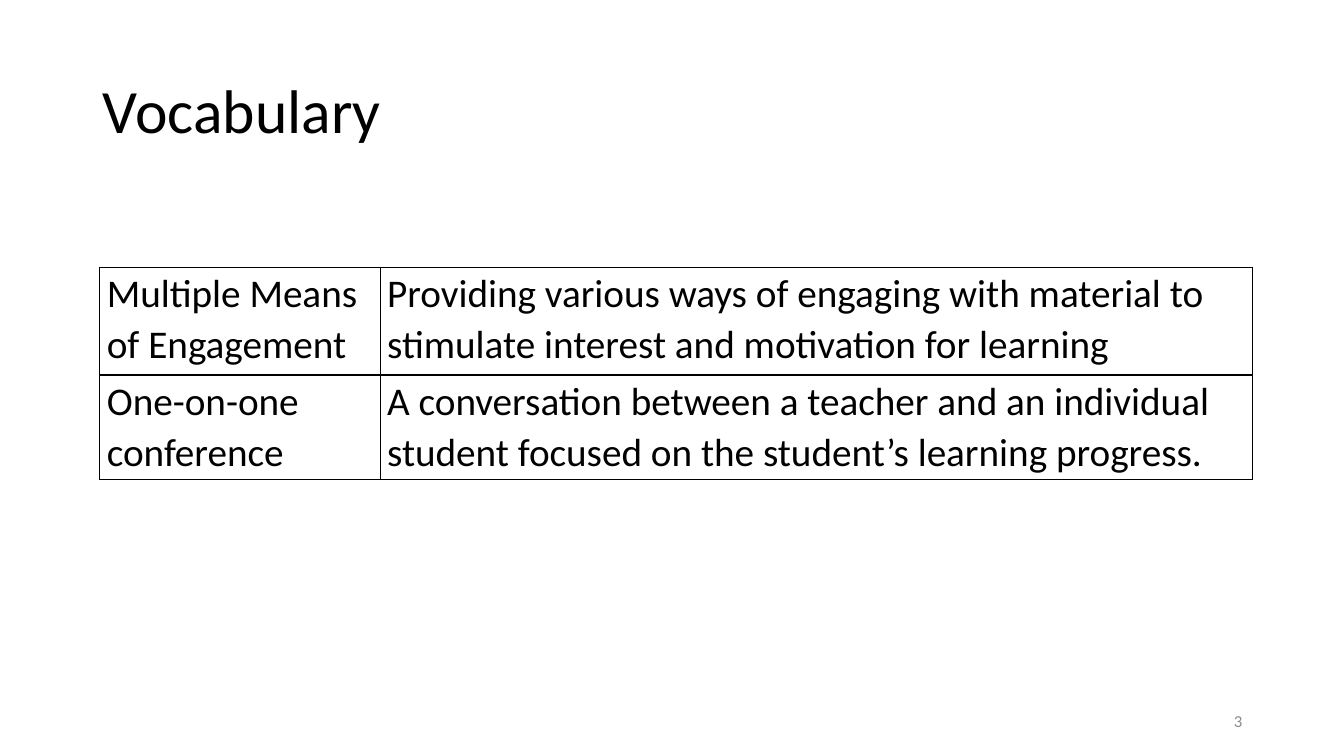
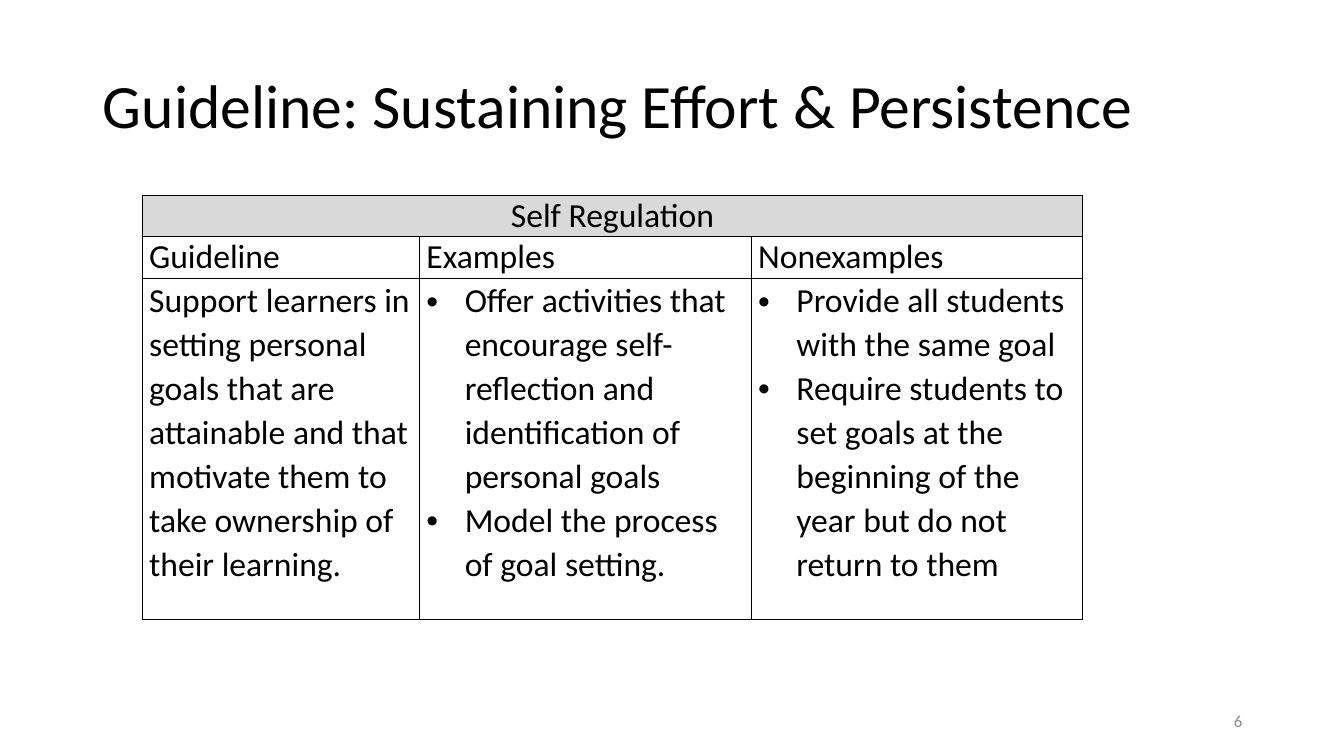
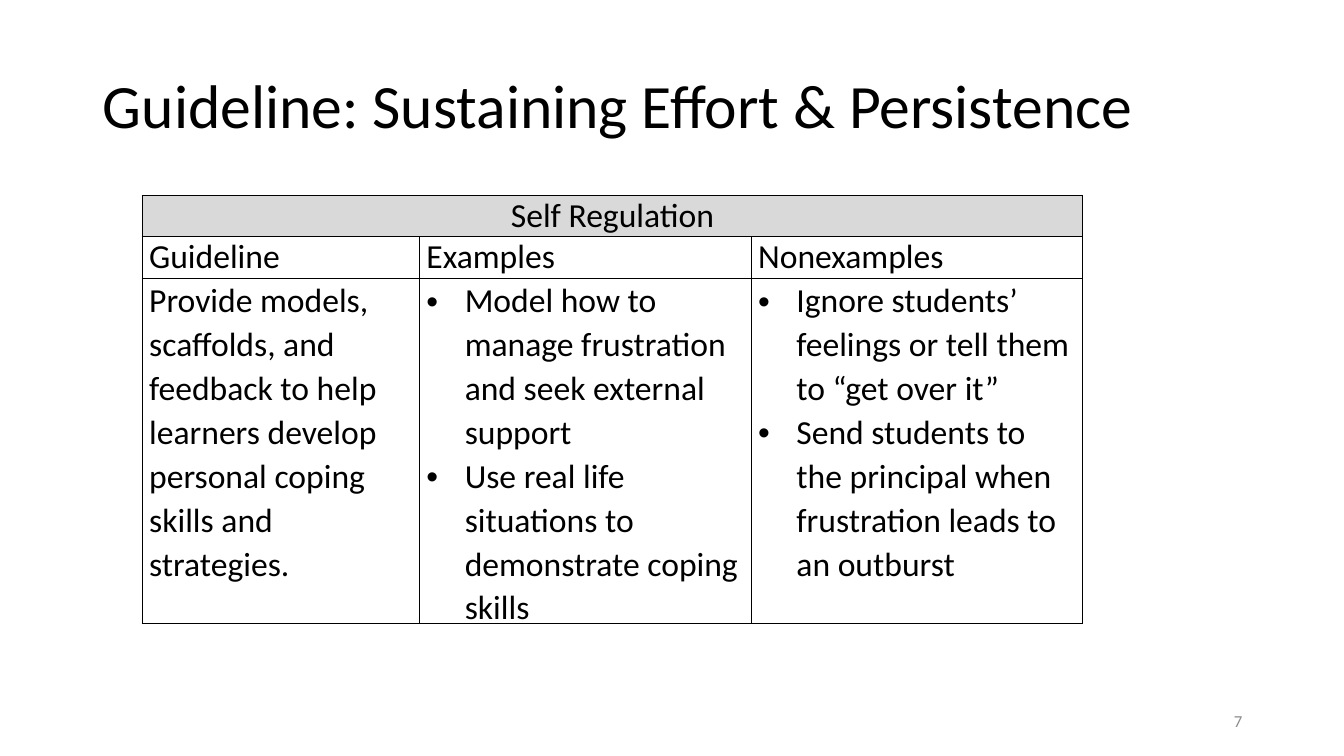
from lxml.etree import SubElement
from pptx import Presentation
from pptx.dml.color import RGBColor
from pptx.enum.text import MSO_ANCHOR, MSO_AUTO_SIZE, PP_ALIGN
from pptx.oxml.ns import qn
from pptx.util import Pt

PX = 9144  # EMU per px, 100 px to the inch
FONT = "Calibri"
COLORS = {"text": "000000", "border": "000000", "band": "D9D9D9", "number": "8C8C8C"}

VOCABULARY = [
    ("Multiple Means of Engagement",
     "Providing various ways of engaging with material to stimulate interest "
     "and motivation for learning"),
    ("One-on-one conference",
     "A conversation between a teacher and an individual student focused on "
     "the student’s learning progress."),
]

GUIDELINE_TITLE = "Guideline: Sustaining Effort & Persistence"
GUIDELINE_BAND = "Self Regulation"
GUIDELINE_HEADINGS = ("Guideline", "Examples", "Nonexamples")
# A list in a cell becomes bullets
GUIDELINES = [
    (6, (
        "Support learners in setting personal goals that are attainable and that "
        "motivate them to take ownership of their learning.",
        ["Offer activities that encourage self-reflection and identification of personal goals",
         "Model the process of goal setting."],
        ["Provide all students with the same goal",
         "Require students to set goals at the beginning of the year but do not return to them"],
    )),
    (7, (
        "Provide models, scaffolds, and feedback to help learners develop personal "
        "coping skills and strategies.",
        ["Model how to manage frustration and seek external support",
         "Use real life situations to demonstrate coping skills"],
        ["Ignore students’ feelings or tell them to “get over it”",
         "Send students to the principal when frustration leads to an outburst"],
    )),
]


def px(*lengths):
    return [length * PX for length in lengths]


def style(paragraph, size, color="text", align=PP_ALIGN.LEFT, spacing=None):
    paragraph.alignment = align
    if spacing:
        paragraph.line_spacing = spacing
    font = paragraph.font
    font.name, font.size = FONT, Pt(size)
    font.color.rgb = RGBColor.from_string(COLORS[color])


def add_slide(deck, title, title_top, number):
    slide = deck.slides.add_slide(deck.slide_layouts[5])

    # Title
    heading = slide.shapes.title
    heading.left, heading.top, heading.width, heading.height = px(92, title_top, 1150, 145)
    frame = heading.text_frame
    frame.text = title
    frame.auto_size = MSO_AUTO_SIZE.NONE
    frame.vertical_anchor = MSO_ANCHOR.MIDDLE
    style(frame.paragraphs[0], 44, spacing=0.9)

    # Slide number
    frame = slide.shapes.add_textbox(*px(942, 695, 300, 40)).text_frame
    frame.word_wrap = True
    frame.vertical_anchor = MSO_ANCHOR.MIDDLE
    frame.text = str(number)
    style(frame.paragraphs[0], 12, "number", PP_ALIGN.RIGHT)
    return slide


def add_borders(cell):
    properties = cell._tc.get_or_add_tcPr()
    for side in ("a:lnL", "a:lnR", "a:lnT", "a:lnB"):
        line = SubElement(properties, qn(side), w=str(Pt(1)))
        fill = SubElement(line, qn("a:solidFill"))
        SubElement(fill, qn("a:srgbClr"), val=COLORS["border"])


def add_bullet(paragraph):
    properties = paragraph._p.get_or_add_pPr()
    indent = 38 * PX
    properties.set("marL", str(indent))
    properties.set("indent", str(-indent))
    SubElement(properties, qn("a:buFont"), typeface="Arial")
    SubElement(properties, qn("a:buChar"), char="•")


def fill_cell(cell, content, size, spacing=None):
    cell.margin_left = cell.margin_right = 7 * PX
    cell.margin_top = cell.margin_bottom = 0
    add_borders(cell)
    cell.fill.background()
    bulleted = isinstance(content, list)
    cell.text = "\n".join(content) if bulleted else content
    for paragraph in cell.text_frame.paragraphs:
        if bulleted:
            add_bullet(paragraph)
        style(paragraph, size, spacing=spacing)


def add_grid(slide, left, top, widths, heights):
    grid = slide.shapes.add_table(
        len(heights), len(widths), *px(left, top, sum(widths), sum(heights))).table
    grid.first_row = grid.horz_banding = False
    for column, width in zip(grid.columns, widths):
        column.width = width * PX
    for row, height in zip(grid.rows, heights):
        row.height = height * PX
    return grid


def add_vocabulary(deck):
    slide = add_slide(deck, "Vocabulary", 40, 3)
    grid = add_grid(slide, 99, 265, (278, 865), (107, 104))
    for row, entry in enumerate(VOCABULARY):
        for column, content in enumerate(entry):
            fill_cell(grid.cell(row, column), content, 28, 1.07)


def add_guideline(deck, number, details):
    slide = add_slide(deck, GUIDELINE_TITLE, 35, number)
    grid = add_grid(slide, 141, 194, (275, 329, 329), (41, 41, 339))
    rows = [((GUIDELINE_BAND, "", ""), None), (GUIDELINE_HEADINGS, None), (details, 1.07)]
    for row, (contents, spacing) in enumerate(rows):
        for column, content in enumerate(contents):
            fill_cell(grid.cell(row, column), content, 24, spacing)

    # Band across all columns
    band = grid.cell(0, 0)
    band.merge(grid.cell(0, 2))
    band.fill.solid()
    band.fill.fore_color.rgb = RGBColor.from_string(COLORS["band"])
    band.text_frame.paragraphs[0].alignment = PP_ALIGN.CENTER


def main():
    deck = Presentation()
    deck.slide_width, deck.slide_height = px(1333, 750)
    add_vocabulary(deck)
    for number, details in GUIDELINES:
        add_guideline(deck, number, details)
    deck.save("out.pptx")


if __name__ == "__main__":
    main()
